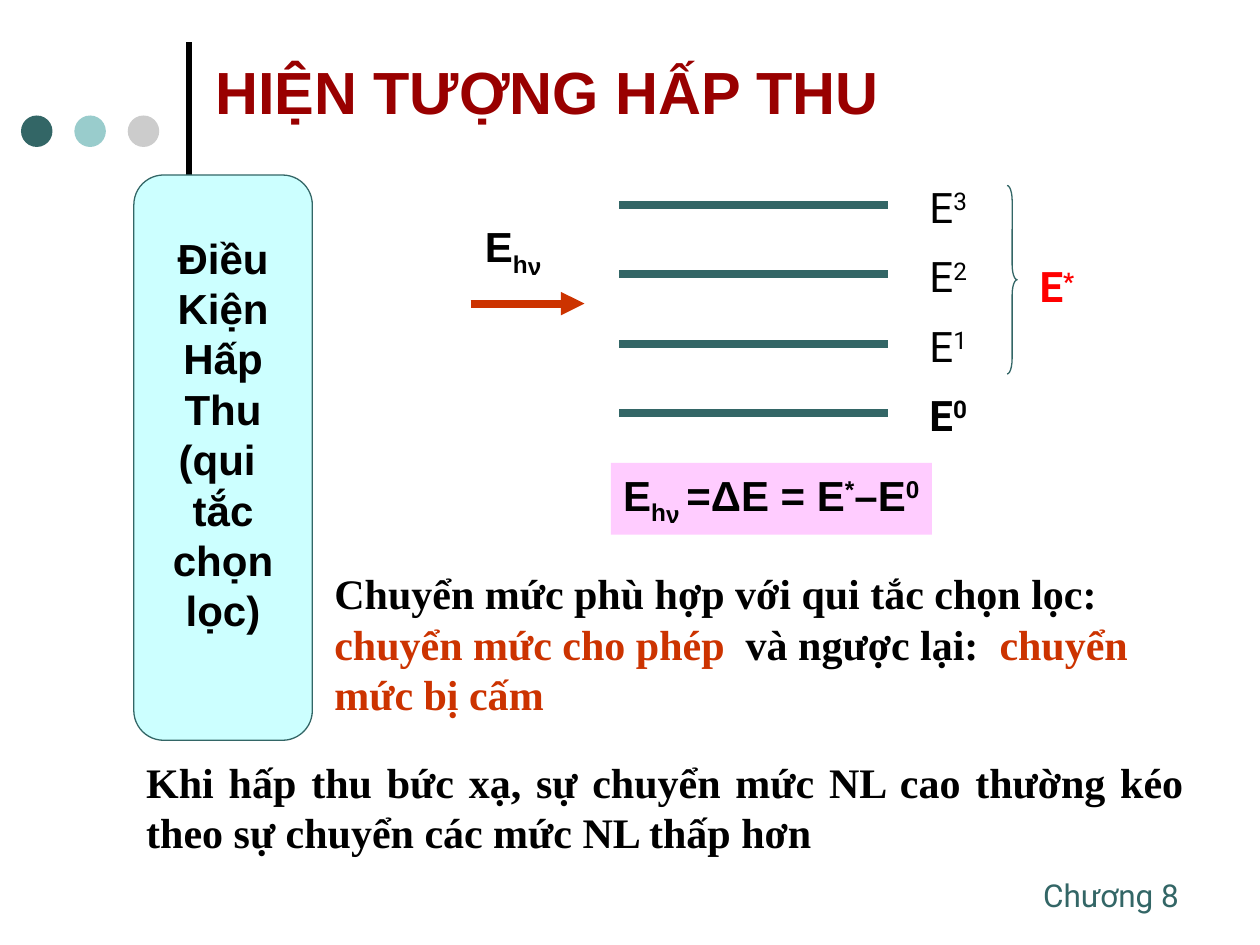
import pptx
import pptx.dml.color
import pptx.enum.shapes
import pptx.enum.text
import pptx.oxml.ns
import pptx.util
from dataclasses import dataclass
from lxml import etree

Pt = pptx.util.Pt
SHAPE = pptx.enum.shapes.MSO_SHAPE
ALIGN = pptx.enum.text.PP_ALIGN
ANCHOR = pptx.enum.text.MSO_ANCHOR


@dataclass(frozen=True)
class Theme:
    ink: str = "000000"
    teal: str = "336666"
    aqua: str = "99CCCC"
    grey: str = "CCCCCC"
    title: str = "990000"
    accent: str = "CC3300"
    excited: str = "FF0000"
    condition_fill: str = "CCFFFF"
    formula_fill: str = "FFCCFF"
    title_size: int = 34
    body_size: int = 24
    footer_size: int = 18
    sans: str = "Arial"
    label: str = "Roboto"
    serif: str = "Times New Roman"


THEME = Theme()
SUPER, H_SUB, NU_SUB = 30, -25, -30


def rgb(code):
    return pptx.dml.color.RGBColor.from_string(code)


def add_figure(slide, kind, box, fill=None, line=None):
    figure = slide.shapes.add_shape(kind, *map(Pt, box))
    figure.shadow.inherit = False
    if fill:
        figure.fill.solid()
        figure.fill.fore_color.rgb = rgb(fill)
    else:
        figure.fill.background()
    if line:
        figure.line.color.rgb = rgb(line)
        figure.line.width = Pt(0.75)
    else:
        figure.line.fill.background()
    return figure


def add_line(slide, start, end, color, width, arrow=False):
    line = slide.shapes.add_connector(
        pptx.enum.shapes.MSO_CONNECTOR.STRAIGHT, *map(Pt, start + end))
    line.line.color.rgb = rgb(color)
    line.line.width = Pt(width)
    if arrow:
        etree.SubElement(line.line._get_or_add_ln(),
                         pptx.oxml.ns.qn("a:tailEnd"), type="triangle")
    etree.SubElement(line._element.spPr, pptx.oxml.ns.qn("a:effectLst"))


def write(holder, paragraphs, font, size=THEME.body_size, color=THEME.ink,
          bold=True, align=ALIGN.LEFT, anchor=ANCHOR.TOP, wrap=True):
    """Each paragraph is a list of runs: (text, baseline percent, own colour)."""
    frame = holder.text_frame
    frame.word_wrap = wrap
    frame.vertical_anchor = anchor
    for index, runs in enumerate(paragraphs):
        paragraph = frame.add_paragraph() if index else frame.paragraphs[0]
        paragraph.alignment = align
        paragraph.font.name = font
        paragraph.font.size = Pt(size)
        paragraph.font.bold = bold
        paragraph.font.color.rgb = rgb(color)
        for text, baseline, own_color in runs:
            run = paragraph.add_run()
            run.text = text
            if baseline:
                run._r.get_or_add_rPr().set("baseline", str(baseline * 1000))
            if own_color:
                run.font.color.rgb = rgb(own_color)


def plain(text, baseline=0, color=None):
    return (text, baseline, color)


def add_text(slide, box, runs, font, **style):
    write(slide.shapes.add_textbox(*map(Pt, box)), [runs], font, **style)


def add_decoration(slide):
    add_line(slide, (108, 126), (108, 24), THEME.ink, 3)
    for index, color in enumerate((THEME.teal, THEME.aqua, THEME.grey)):
        add_figure(slide, SHAPE.OVAL, (12 + 30.5 * index, 66, 18, 18), color)
    add_text(slide, (589, 497, 97, 29), [plain("Chương 8")], THEME.label,
             size=THEME.footer_size, color=THEME.teal, bold=False, wrap=False)


def add_energy_levels(slide):
    for index, level in enumerate("3210"):
        y = 117 + 39.7 * index
        add_line(slide, (354, y), (507.5, y), THEME.teal, 4.5)
        add_text(slide, (524, y - 17, 57, 36),
                 [plain("E"), plain(level, SUPER)], THEME.label,
                 bold=level == "0")
    brace = add_figure(slide, SHAPE.RIGHT_BRACE, (575.5, 106, 5.75, 107.75),
                       line=THEME.teal)
    brace.adjustments[0] = 1.5
    add_text(slide, (587, 145.5, 45, 36), [plain("E"), plain("*", SUPER)],
             THEME.label, color=THEME.excited)


def add_condition(slide):
    condition = add_figure(slide, SHAPE.ROUNDED_RECTANGLE,
                           (76.5, 100, 102, 323), THEME.condition_fill,
                           THEME.teal)
    lines = ("Điều", "Kiện", "Hấp", "Thu", "(qui ", "tắc", "chọn", "lọc)")
    write(condition, [[plain(line)] for line in lines], THEME.sans,
          align=ALIGN.CENTER, anchor=ANCHOR.MIDDLE, wrap=False)
    # The words sit half a line above the middle
    condition.text_frame.margin_bottom = Pt(31)


def add_photon_energy(slide):
    photon = [plain("E"), plain("h", H_SUB)]
    add_text(slide, (270, 122.5, 47, 41), photon + [plain("ν", NU_SUB)],
             THEME.sans, wrap=False)
    add_line(slide, (269, 173.5), (334, 173.5), THEME.accent, 4.5, arrow=True)
    formula = add_figure(slide, SHAPE.RECTANGLE, (349, 264.5, 183.5, 41),
                         THEME.formula_fill)
    write(formula, [photon + [plain("ν ", NU_SUB), plain("=ΔE = E"),
                              plain("*", SUPER), plain("–E"),
                              plain("0", SUPER)]],
          THEME.sans, wrap=False)


def add_explanations(slide):
    add_text(slide, (184, 321, 513, 94), [
        plain("Chuyển mức phù hợp với qui tắc chọn lọc: "),
        plain("chuyển mức cho phép", color=THEME.accent),
        plain("  và ngược lại:  "),
        plain("chuyển mức bị cấm", color=THEME.accent)], THEME.serif)
    add_text(slide, (76.5, 428.5, 607, 65), [
        plain("Khi hấp thu bức xạ, sự chuyển mức NL cao thường kéo theo "
              "sự chuyển các mức NL thấp hơn")],
        THEME.serif, align=ALIGN.JUSTIFY)


def main():
    deck = pptx.Presentation()
    deck.slide_width, deck.slide_height = Pt(720), Pt(540)
    slide = deck.slides.add_slide(deck.slide_layouts[6])
    add_decoration(slide)
    add_energy_levels(slide)
    add_condition(slide)
    # Title
    add_text(slide, (116, 15, 604, 73.5), [plain("HIỆN TƯỢNG HẤP THU")],
             THEME.sans, size=THEME.title_size, color=THEME.title,
             anchor=ANCHOR.MIDDLE)
    add_photon_energy(slide)
    add_explanations(slide)
    deck.save("out.pptx")


if __name__ == "__main__":
    main()
